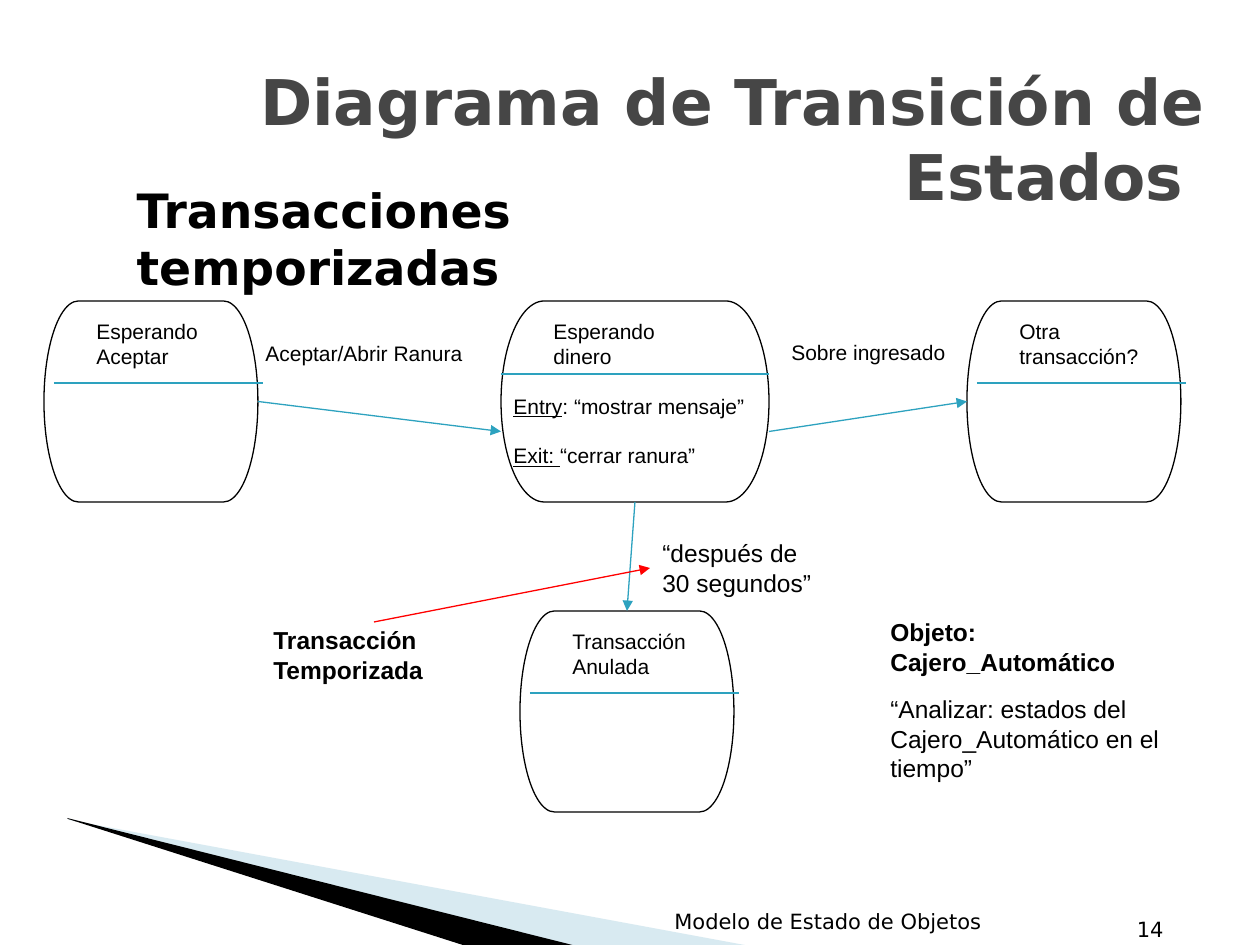
import pptx
import pptx.util
import pptx.dml.color
import pptx.enum.shapes
import pptx.enum.text
import pptx.oxml
import pptx.oxml.ns

RGBColor = pptx.dml.color.RGBColor
ALIGN = pptx.enum.text.PP_ALIGN
ANCHOR = pptx.enum.text.MSO_ANCHOR
BLACK = RGBColor(0x00, 0x00, 0x00)
WHITE = RGBColor(0xFF, 0xFF, 0xFF)
GREY = RGBColor(0x46, 0x46, 0x46)
TEAL = RGBColor(0x2D, 0xA2, 0xBF)
PALE_BLUE = RGBColor(0x9F, 0xCB, 0xDC)
RED = RGBColor(0xFF, 0x00, 0x00)

EMU_PER_PX = 914400 / 126
TOP, LEFT, BOTTOM, RIGHT = range(4)
DISPLAY = "DejaVu Sans"


def px(n):
    return pptx.util.Emu(round(n * EMU_PER_PX))


def add_xml(parent, tag, **attrs):
    child = pptx.oxml.parse_xml(f"<{tag} {pptx.oxml.ns.nsdecls('a')}/>")
    for name, value in attrs.items():
        child.set(name, str(value))
    parent.append(child)


class Diagram:
    """Draws on one slide with a shared style; lengths are in px."""

    font = {"name": "Arial", "size": 12, "bold": False}
    line_width = pptx.util.Pt(0.75)

    def __init__(self, slide):
        self.slide = slide
        self.shapes = slide.shapes

    def set_text(self, sp, lines, color=BLACK, align=ALIGN.LEFT,
                 anchor=ANCHOR.TOP, gap=0, **font):
        """Fill sp; a line is a string or a list of (text, underline) runs."""
        tf = sp.text_frame
        frame = {"word_wrap": True, "vertical_anchor": anchor,
                 "auto_size": pptx.enum.text.MSO_AUTO_SIZE.NONE,
                 "margin_left": pptx.util.Inches(0.1),
                 "margin_right": pptx.util.Inches(0.1),
                 "margin_top": pptx.util.Inches(0.05),
                 "margin_bottom": pptx.util.Inches(0.05)}
        for name, value in frame.items():
            setattr(tf, name, value)
        style = {**self.font, **font}
        style["size"] = pptx.util.Pt(style["size"])
        for i, line in enumerate(lines):
            p = tf.add_paragraph() if i else tf.paragraphs[0]
            p.alignment = align
            p.space_before = pptx.util.Pt(gap if i else 0)
            for text, underline in [(line, None)] if isinstance(line, str) else line:
                r = p.add_run()
                r.text = text
                for name, value in {**style, "underline": underline}.items():
                    setattr(r.font, name, value)
                r.font.color.rgb = color

    def placeholder(self, index, box, lines, **style):
        sp = self.slide.placeholders[index]
        sp.left, sp.top, sp.width, sp.height = map(px, box)
        self.set_text(sp, lines, **style)
        return sp

    def text(self, box, lines, **style):
        sp = self.shapes.add_textbox(*map(px, box))
        self.set_text(sp, lines, **style)
        return sp

    def line(self, start, end, color=TEAL, arrow=False):
        """Each end is an (x, y) point or a (shape, side) pair."""
        joined = [not isinstance(e[0], int) for e in (start, end)]
        points = [(0, 0) if j else e for j, e in zip(joined, (start, end))]
        sp = self.shapes.add_connector(
            pptx.enum.shapes.MSO_CONNECTOR.STRAIGHT,
            *(px(n) for point in points for n in point))
        if joined[0]:
            sp.begin_connect(*start)
        if joined[1]:
            sp.end_connect(*end)
        sp.line.color.rgb = color
        sp.line.width = self.line_width
        if arrow:
            ln = sp._element.spPr.find(pptx.oxml.ns.qn("a:ln"))
            add_xml(ln, "a:tailEnd", type="triangle")
        add_xml(sp._element.spPr, "a:effectLst")

    def state(self, x, y, label, width=214, divider=(10, 219, 82)):
        """Rounded state; divider is its left, right and y within the state."""
        sp = self.shapes.add_shape(
            pptx.enum.shapes.MSO_SHAPE.FLOWCHART_TERMINATOR,
            *map(px, (x, y, width, 201)))
        sp.shadow.inherit = False
        sp.fill.solid()
        sp.fill.fore_color.rgb = WHITE
        sp.line.color.rgb = BLACK
        sp.line.width = self.line_width
        left, right, dy = divider
        self.line((x + left, y + dy), (x + right, y + dy))
        self.text((x + 40, y + 11, 161, 64), label)
        return sp

    def wedge(self, points, color, opacity=100):
        fb = self.shapes.build_freeform(*points[0], scale=EMU_PER_PX)
        fb.add_line_segments(points[1:], close=True)
        sp = fb.convert_to_shape()
        sp.shadow.inherit = False
        sp.fill.solid()
        sp.fill.fore_color.rgb = color
        sp.line.fill.background()
        if opacity < 100:
            clr = sp._element.spPr.find(".//" + pptx.oxml.ns.qn("a:srgbClr"))
            add_xml(clr, "a:alpha", val=opacity * 1000)


def main():
    prs = pptx.Presentation()
    prs.slide_width, prs.slide_height = px(1260), px(945)
    d = Diagram(prs.slides.add_slide(prs.slide_layouts[1]))

    d.wedge([(69, 820), (750, 946), (575, 946), (69, 819)], PALE_BLUE, 40)
    d.wedge([(67, 818), (576, 946), (469, 947), (68, 819)], BLACK)

    d.placeholder(0, (84, 59, 1134, 158), ["Diagrama de Transición de Estados "],
                  color=GREY, align=ALIGN.RIGHT, anchor=ANCHOR.MIDDLE,
                  name=DISPLAY, size=36, bold=True)
    heading = d.placeholder(1, (124, 175, 685, 71), ["Transacciones temporizadas"],
                            name=DISPLAY, size=27, bold=True)
    heading.width = px(510)
    pPr = heading.text_frame.paragraphs[0]._p.get_or_add_pPr()
    pPr.set("marL", "0")
    pPr.set("indent", "0")
    add_xml(pPr, "a:buNone")

    d.text((600, 890, 456, 50), ["Modelo de Estado de Objetos"],
           name=DISPLAY, align=ALIGN.CENTER, anchor=ANCHOR.BOTTOM)
    d.text((852, 898, 324, 50), ["14"],
           name=DISPLAY, align=ALIGN.RIGHT, anchor=ANCHOR.BOTTOM)

    accepting = d.state(44, 301, ["Esperando", "Aceptar"])
    money = d.state(501, 301, ["Esperando", "dinero"], 268, (0, 268, 73))
    another = d.state(967, 301, ["Otra transacción?"])
    cancelled = d.state(520, 611, ["Transacción", "Anulada"])
    actions = d.text((501, 387, 268, 89),
                     [[("Entry", True), (": “mostrar mensaje”", False)],
                      [("Exit: ", True), ("“cerrar ranura”", False)]], gap=14)

    for start, end in [((accepting, RIGHT), (actions, LEFT)),
                       ((actions, RIGHT), (another, LEFT)),
                       ((money, BOTTOM), (cancelled, TOP))]:
        d.line(start, end, arrow=True)

    d.text((253, 334, 248, 38), ["Aceptar/Abrir Ranura"])
    d.text((779, 333, 179, 39), ["Sobre ingresado"])
    timeout = d.text((650, 532, 179, 72), ["“después de", "30 segundos”"], size=14)
    d.line((374, 622), (timeout, LEFT), RED, arrow=True)
    d.text((261, 619, 202, 72), ["Transacción", "Temporizada"], size=14, bold=True)
    d.text((878, 611, 340, 72), ["Objeto:", "Cajero_Automático"], size=14, bold=True)
    d.text((878, 688, 340, 102),
           ["“Analizar: estados del Cajero_Automático en el tiempo”"], size=14)

    prs.save("out.pptx")


if __name__ == "__main__":
    main()
